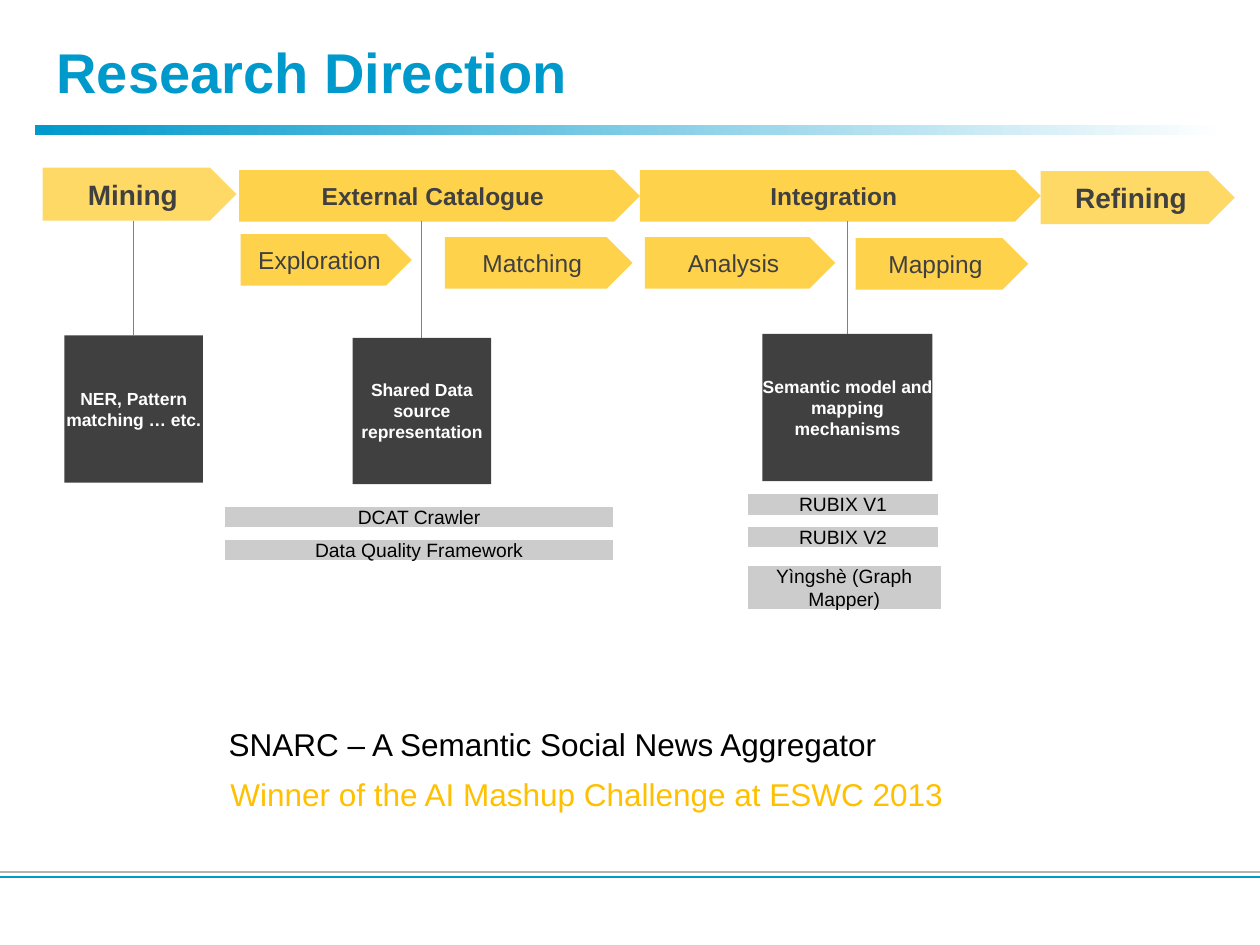
import pptx
import pptx.util
import pptx.dml.color
import pptx.enum.shapes
import pptx.enum.text
import pptx.oxml.ns
from lxml import etree

Cm, Pt = pptx.util.Cm, pptx.util.Pt
RGBColor = pptx.dml.color.RGBColor
Shape = pptx.enum.shapes.MSO_SHAPE
Anchor = pptx.enum.text.MSO_ANCHOR
Align = pptx.enum.text.PP_ALIGN
qn = pptx.oxml.ns.qn

BLUE = RGBColor(0x00, 0x99, 0xCC)
AMBER = RGBColor(0xFF, 0xC0, 0x00)
DARK = RGBColor(0x40, 0x40, 0x40)
GREY = RGBColor(0x80, 0x80, 0x80)
RULE_GREY = RGBColor(0xB2, 0xB2, 0xB2)
PALE = RGBColor(0xCC, 0xCC, 0xCC)
BLACK = RGBColor(0x00, 0x00, 0x00)
WHITE = RGBColor(0xFF, 0xFF, 0xFF)

TITLE = "Research Direction"
# Places are left, top, width, height in centimetres.
# text, place, size, bold, opacity in percent
STEPS = [
    ("Mining", (0.86, 3.38, 3.91, 1.07), 16, True, 60),
    ("External Catalogue", (4.82, 3.43, 8.08, 1.04), 14, True, 70),
    ("Integration", (12.9, 3.43, 8.08, 1.04), 14, True, 70),
    ("Refining", (20.98, 3.45, 3.91, 1.07), 16, True, 60),
    ("Exploration", (4.85, 4.72, 3.45, 1.04), 14, False, 70),
    ("Matching", (8.97, 4.78, 3.78, 1.04), 14, False, 70),
    ("Analysis", (13, 4.78, 3.84, 1.04), 14, False, 70),
    ("Mapping", (17.25, 4.8, 3.48, 1.04), 14, False, 70),
]
STEP_BOTTOM = 4.45
METHODS = [
    ("NER, Pattern matching … etc.", (1.3, 6.76, 2.79, 2.97)),
    ("Shared Data source representation", (7.11, 6.81, 2.79, 2.95)),
    ("Semantic model and mapping mechanisms", (15.37, 6.73, 3.43, 2.97)),
]
TOOLS = [
    ("DCAT Crawler", (4.5, 10.19, 7.9, 0.48)),
    ("Data Quality Framework", (4.5, 10.85, 7.9, 0.48)),
    ("RUBIX V1", (15.04, 9.93, 3.91, 0.48)),
    ("RUBIX V2", (15.04, 10.59, 3.91, 0.48)),
    ("Yìngshè (Graph Mapper)", (15.04, 11.38, 3.96, 0.94)),
]
CAPTIONS = [
    ("SNARC – A Semantic Social News Aggregator", (4.09, 14.48, 14.1, 1.02), BLACK),
    ("Winner of the AI Mashup Challenge at ESWC 2013", (2.9, 15.49, 17.86, 1.02), AMBER),
]
FOOTER_RULES = [(17.58, RULE_GREY), (17.68, BLUE)]


def cm(place):
    return [Cm(length) for length in place]


def write(shape, text, size, color, bold=False, align=Align.CENTER,
          anchor=Anchor.MIDDLE, insets=(0.25, 0.13)):
    frame = shape.text_frame
    frame.text = text
    frame.word_wrap = True
    frame.vertical_anchor = anchor
    frame.margin_left = frame.margin_right = Cm(insets[0])
    frame.margin_top = frame.margin_bottom = Cm(insets[1])
    para = frame.paragraphs[0]
    para.alignment = align
    font = para.runs[0].font
    font.name, font.size, font.bold = "Arial", Pt(size), bold
    font.color.rgb = color


def add_block(page, kind, place, fill):
    """Add a preset shape with a plain fill, no outline and no shadow."""
    shape = page.shapes.add_shape(kind, *cm(place))
    shape.shadow.inherit = False
    shape.fill.solid()
    shape.fill.fore_color.rgb = fill
    shape.line.fill.background()
    return shape


def set_opacity(shape, percent):
    color = shape._element.spPr.find(qn("a:solidFill"))[0]
    etree.SubElement(color, qn("a:alpha")).set("val", str(percent * 1000))


def add_line(page, start, end, color, width):
    line = page.shapes.add_connector(
        pptx.enum.shapes.MSO_CONNECTOR.STRAIGHT, *cm(start + end))
    line.line.color.rgb = color
    line.line.width = Pt(width)
    etree.SubElement(line._element.spPr, qn("a:effectLst"))
    return line


def add_title_bar(page):
    bar = add_block(page, Shape.RECTANGLE, (0.7, 2.53, 24, 0.2), BLUE)
    bar.fill.gradient()
    bar.fill.gradient_angle = 0
    for stop, position, color in zip(bar.fill.gradient_stops, (0, 1), (BLUE, WHITE)):
        stop.position = position
        stop.color.rgb = color


def main():
    deck = pptx.Presentation()
    deck.slide_width, deck.slide_height = Cm(25.4), Cm(19.05)
    page = deck.slides.add_slide(deck.slide_layouts[5])

    title = page.shapes.title
    title.left, title.top, title.width, title.height = cm((0.89, 0.53, 23.8, 1.8))
    write(title, TITLE, 32, BLUE, bold=True, align=Align.LEFT)
    add_title_bar(page)
    for top, color in FOOTER_RULES:
        add_line(page, (0, top), (25.4, top), color, 1.5)

    for text, place, size, bold, opacity in STEPS:
        step = add_block(page, Shape.PENTAGON, place, AMBER)
        set_opacity(step, opacity)
        write(step, text, size, DARK, bold, insets=(0.25, 0.2))

    for text, place in METHODS:
        method = add_block(page, Shape.RECTANGLE, place, DARK)
        write(method, text, 10, WHITE, bold=True, insets=(0, 0))
        left, top, width, _ = place
        middle = left + width / 2
        line = add_line(page, (middle, STEP_BOTTOM), (middle, top), GREY, 0.5)
        line.end_connect(method, 0)

    for text, place in TOOLS:
        tool = add_block(page, Shape.RECTANGLE, place, PALE)
        tool.line.color.rgb = WHITE
        tool.line.width = Pt(2)
        write(tool, text, 11, BLACK, anchor=Anchor.TOP, insets=(0, 0))

    for text, place, color in CAPTIONS:
        caption = page.shapes.add_textbox(*cm(place))
        write(caption, text, 18, color, anchor=Anchor.TOP)

    deck.save("out.pptx")


if __name__ == "__main__":
    main()
